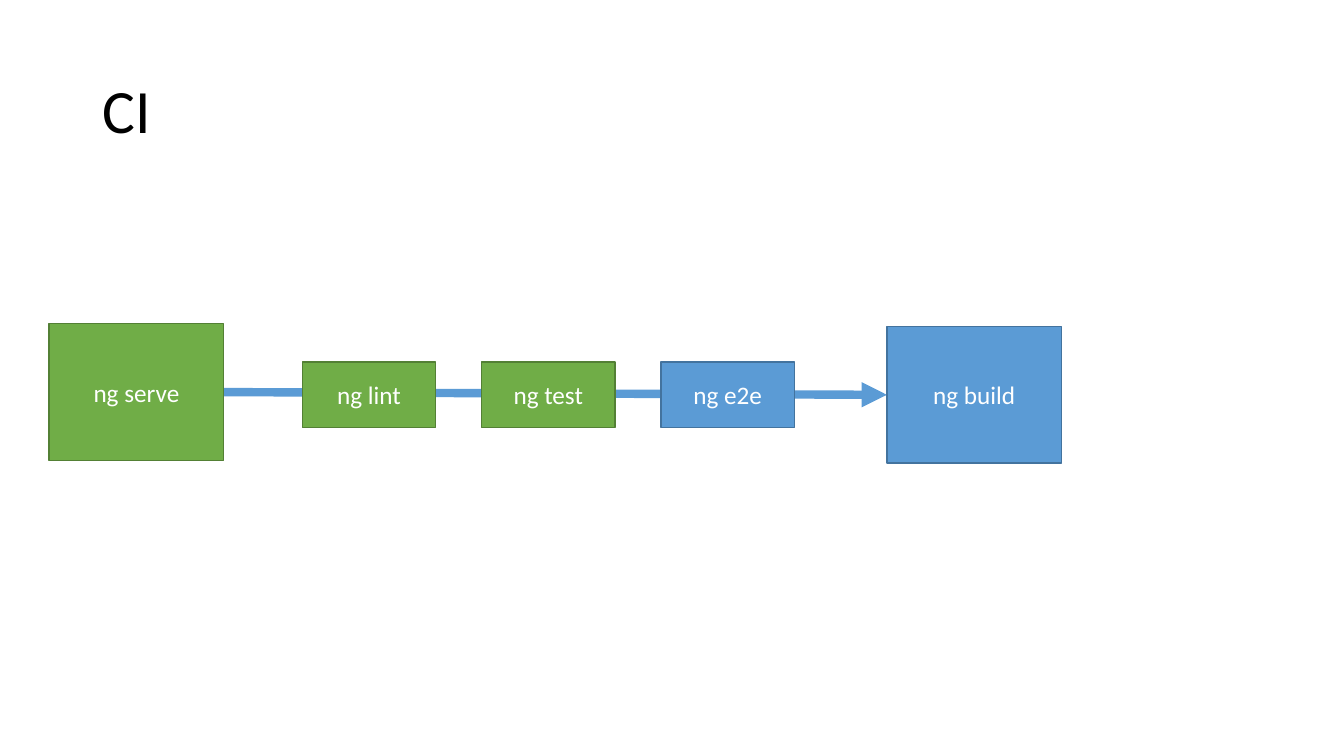
"""Build a slide showing the steps of a CI run."""
from lxml.etree import SubElement as Sub
from pptx import Presentation as Deck
from pptx.dml.color import RGBColor as Color
from pptx.enum.shapes import MSO_CONNECTOR as Link, MSO_SHAPE as Shape
from pptx.enum.text import MSO_ANCHOR as Anchor, PP_ALIGN as Align
from pptx.oxml.ns import qn
from pptx.util import Cm, Pt

BLACK = Color(0x00, 0x00, 0x00)
WHITE = Color(0xFF, 0xFF, 0xFF)
GREEN = Color(0x70, 0xAD, 0x47)
MOSS = Color(0x53, 0x80, 0x35)
BLUE = Color(0x5B, 0x9B, 0xD5)
NAVY = Color(0x43, 0x73, 0x9E)
DONE = GREEN, MOSS
OPEN = BLUE, NAVY


def write(frame, text, size=18, color=WHITE, align=Align.CENTER, space=1.0):
    frame.word_wrap = True
    frame.vertical_anchor = Anchor.MIDDLE
    para = frame.paragraphs[0]
    para.alignment = align
    para.line_spacing = space
    run = para.add_run()
    run.text = text
    run.font.name = "Calibri"
    run.font.size = Pt(size)
    run.font.color.rgb = color


class Page:
    def __init__(self, slide):
        self.slide = slide
        self.shapes = slide.shapes

    def title(self, text, left, top, width, height):
        head = self.shapes.title
        head.left, head.top = Cm(left), Cm(top)
        head.width, head.height = Cm(width), Cm(height)
        write(head.text_frame, text, size=44, color=BLACK,
              align=Align.LEFT, space=0.9)

    def arrow(self, start, end, color, width):
        line = self.shapes.add_connector(
            Link.STRAIGHT, *map(Cm, start), *map(Cm, end))
        line.line.color.rgb = color
        line.line.width = Pt(width)
        Sub(line.line._get_or_add_ln(), qn("a:tailEnd"), type="triangle")
        Sub(line._element.spPr, qn("a:effectLst"))

    def box(self, text, left, top, size, look):
        box = self.shapes.add_shape(
            Shape.RECTANGLE, Cm(left), Cm(top), *map(Cm, size))
        fill, edge = look
        box.shadow.inherit = False
        box.fill.solid()
        box.fill.fore_color.rgb = fill
        box.line.color.rgb = edge
        box.line.width = Pt(1)
        write(box.text_frame, text)


deck = Deck()
deck.slide_width, deck.slide_height = Cm(33.87), Cm(19.05)
page = Page(deck.slides.add_slide(deck.slide_layouts[5]))

LARGE = 4.4, 3.44
SMALL = 3.36, 1.66
STEP = 4.52

page.title("CI", 2.33, 1.01, 29.21, 3.68)
page.arrow((5.65, 9.88), (22.35, 9.95), BLUE, 6)
page.box("ng serve", 1.24, 8.16, LARGE, DONE)
checks = ("ng lint", DONE), ("ng test", DONE), ("ng e2e", OPEN)
for spot, (name, look) in enumerate(checks):
    page.box(name, 7.62 + spot * STEP, 9.12, SMALL, look)
page.box("ng build", 22.35, 8.23, LARGE, OPEN)

deck.save("out.pptx")
